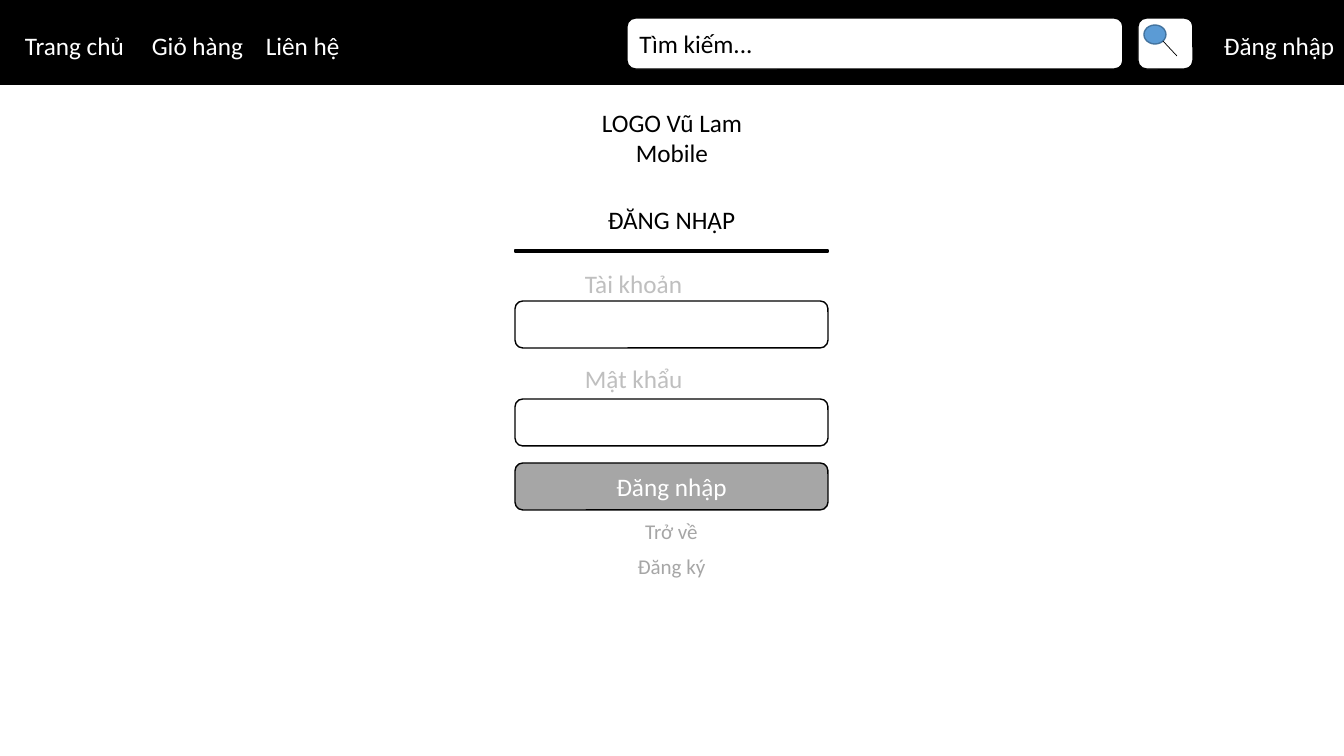
from pptx import Presentation
from pptx import util as u
from pptx.dml import color
from pptx.enum import shapes, text
from pptx.oxml.ns import qn
from lxml import etree

PX = 914400 / 100.8
FONT = "Calibri"
BLACK, WHITE, GREY, PALE = "000000", "FFFFFF", "A6A6A6", "BFBFBF"
RECT = shapes.MSO_SHAPE.RECTANGLE
ROUNDED = shapes.MSO_SHAPE.ROUNDED_RECTANGLE
LEFT, CENTER = text.PP_ALIGN.LEFT, text.PP_ALIGN.CENTER
TOP, MIDDLE = text.MSO_ANCHOR.TOP, text.MSO_ANCHOR.MIDDLE


def px(length):
    """Turn pixels into EMU."""
    return u.Emu(round(length * PX))


def rgb(value):
    """Turn a hex string into a colour."""
    return color.RGBColor.from_string(value)


def write(holder, wording, ink, size=18, align=LEFT, anchor=TOP, wrap=True):
    """Set and format the wording of a shape."""
    frame = holder.text_frame
    frame.text = wording
    frame.word_wrap = wrap
    frame.auto_size = text.MSO_AUTO_SIZE.NONE
    frame.vertical_anchor = anchor
    paragraph = frame.paragraphs[0]
    paragraph.alignment = align
    font = paragraph.runs[0].font
    font.name, font.size = FONT, u.Pt(size)
    font.color.rgb = rgb(ink)


def add_label(slide, box, wording, ink, **style):
    """Add a text box."""
    label = slide.shapes.add_textbox(*map(px, box))
    write(label, wording, ink, **style)


def add_block(slide, kind, box, fill=None, line=BLACK):
    """Add a preset shape with an outline of one point."""
    block = slide.shapes.add_shape(kind, *map(px, box))
    block.shadow.inherit = False
    if fill:
        block.fill.solid()
        block.fill.fore_color.rgb = rgb(fill)
    else:
        block.fill.background()
    block.line.color.rgb = rgb(line)
    block.line.width = u.Pt(1)
    return block


def add_search_icon(slide, left, top):
    """Draw the search button with its magnifier."""
    add_block(slide, ROUNDED, (left, top, 55, 51), WHITE)
    add_block(slide, shapes.MSO_SHAPE.OVAL, (left + 6, top + 7, 22, 19), "5B9BD5", "43739E")
    ends = (left + 25, top + 23, left + 39, top + 38)
    handle = slide.shapes.add_connector(shapes.MSO_CONNECTOR.STRAIGHT, *map(px, ends))
    handle.line.color.rgb = rgb(BLACK)
    handle.line.width = u.Pt(0.5)
    etree.SubElement(handle._element.spPr, qn("a:effectLst"))


def add_navigation(slide, left, top, width, height):
    """Build the bar with its links and search field."""
    add_block(slide, RECT, (left, top, width, height), BLACK)
    links = (("Trang chủ", 15, 118), ("Giỏ hàng", 142, 112),
             ("Liên hệ", 256, 95), ("Đăng nhập", 1214, 130))
    for wording, offset, span in links:
        add_label(slide, (left + offset, top + 25, span, 40), wording, WHITE, wrap=False)
    search = add_block(slide, ROUNDED, (left + 627, top + 18, 496, 51), WHITE)
    write(search, "Tìm kiếm...", BLACK, anchor=MIDDLE)
    add_search_icon(slide, left + 1138, top + 18)


def add_login_form(slide, left, top, width):
    """Build the login column under the bar."""
    add_label(slide, (left + 44, top, 226, 72), "LOGO Vũ Lam Mobile", BLACK, align=CENTER)
    title = slide.shapes.title
    middle = left + (width - 269) // 2
    title.left, title.top, title.width, title.height = map(px, (middle, top + 97, 269, 40))
    write(title, "ĐĂNG NHẬP", BLACK, align=CENTER)
    add_block(slide, RECT, (left, top + 148, width, 2), BLACK)
    for wording, label_top, field_top in (("Tài khoản", 161, 199), ("Mật khẩu", 256, 297)):
        add_label(slide, (left + 60, top + label_top, 196, 40), wording, PALE)
        add_block(slide, ROUNDED, (left, top + field_top, width, 47))
    button = add_block(slide, ROUNDED, (left, top + 361, width, 47), GREY)
    write(button, "Đăng nhập", WHITE, align=CENTER, anchor=MIDDLE)
    for row, wording in enumerate(("Trở về", "Đăng ký")):
        add_label(slide, (middle, top + 412 + 35 * row, 269, 35), wording, GREY,
                  size=15, align=CENTER)


def main():
    """Build and save the login slide."""
    deck = Presentation()
    deck.slide_width, deck.slide_height = px(1344), px(756)
    slide = deck.slides.add_slide(deck.slide_layouts[5])
    add_login_form(slide, 515, 102, 313)
    add_navigation(slide, 0, 0, 1344, 84)
    deck.save("out.pptx")


if __name__ == "__main__":
    main()
